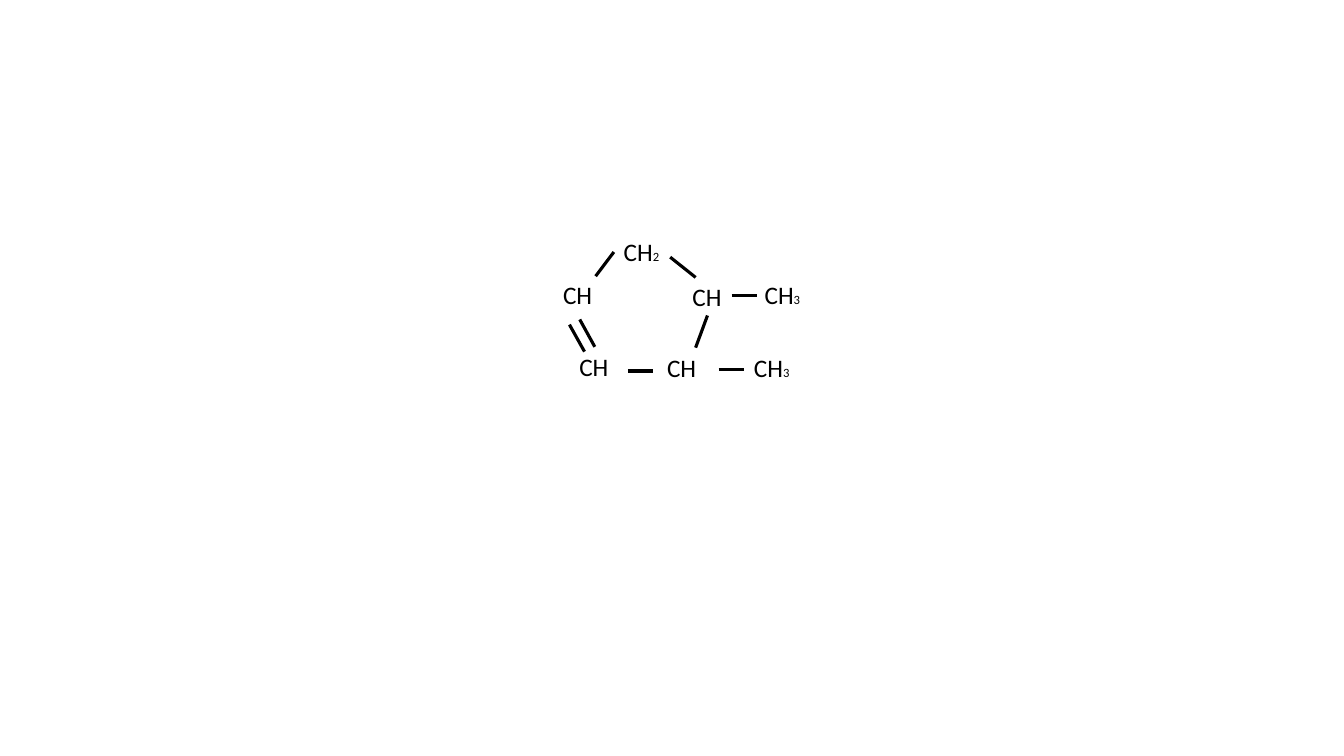
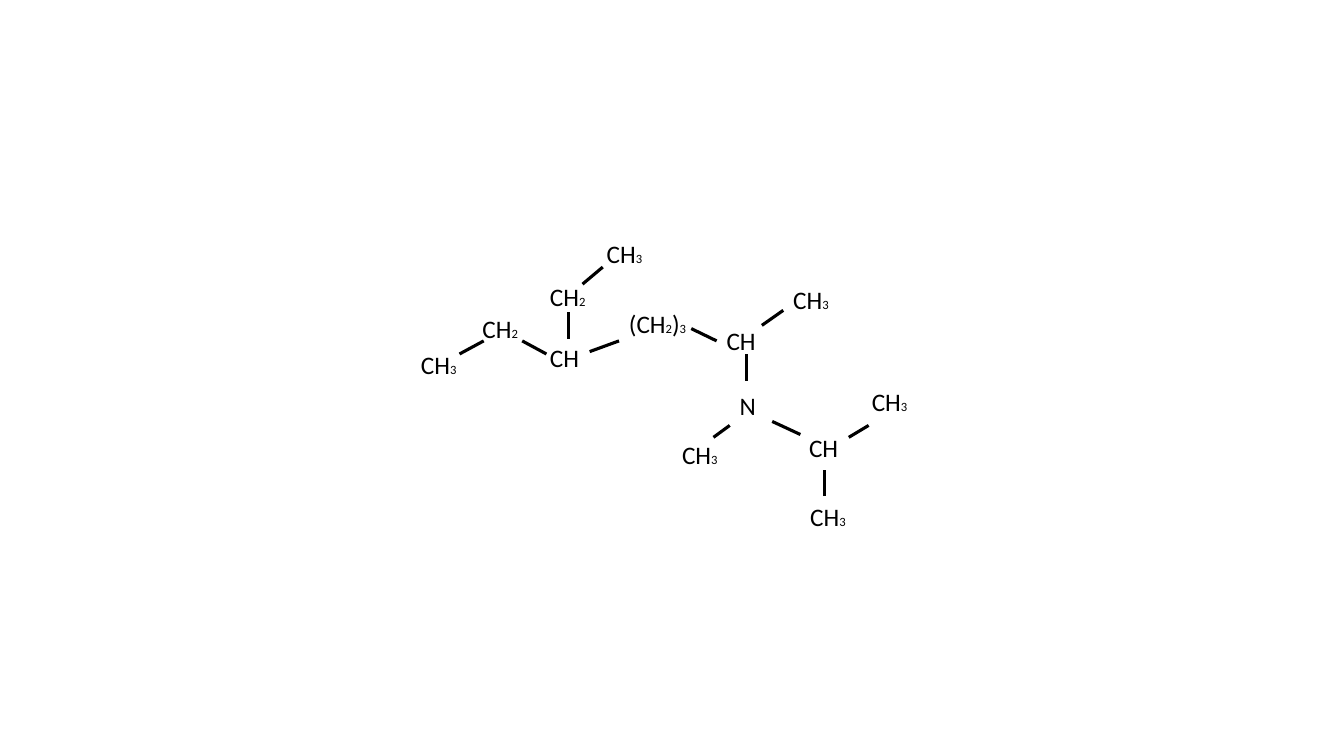
import itertools

import pptx
import pptx.dml.color
import pptx.enum.shapes
import pptx.enum.text
import pptx.oxml.ns
import pptx.util
from lxml import etree

Cm = pptx.util.Cm
Pt = pptx.util.Pt

INK = "000000"
FONT = "Calibri"
ATOM_SIZE, COUNT_SIZE = 18, 9
BOND_WIDTH = 2.25
LABEL_HEIGHT = 1.02
LABEL_WIDTHS = {"N": 0.91, "CH": 1.24, "CH2": 1.42, "CH3": 1.42, "(CH2)3": 1.98}


def rgb(value):
    return pptx.dml.color.RGBColor.from_string(value)


cyclopentene = {
    "groups": [
        ("CH2", 15.47, 5.84),
        ("CH", 17.2, 6.96),
        ("CH3", 19.02, 6.91),
        ("CH", 16.56, 8.76),
        ("CH3", 18.75, 8.76),
        ("CH", 14.35, 8.74),
        ("CH", 13.94, 6.91),
    ],
    "bonds": [
        (16.89, 6.48, 17.53, 6.99),
        (18.44, 7.44, 19.08, 7.44),
        (17.53, 8.76, 17.83, 7.95),
        (18.11, 9.32, 18.75, 9.32),
        (15.82, 9.35, 16.46, 9.35),
        (14.99, 8.74, 14.61, 8.05),
        (14.73, 8.86, 14.35, 8.18),
        (15.01, 6.96, 15.47, 6.35),
    ],
}

amine = {
    "groups": [
        ("CH3", 10.36, 8.69),
        ("CH2", 11.91, 7.77),
        ("CH", 13.61, 8.51),
        ("CH2", 13.61, 6.96),
        ("CH3", 15.04, 5.89),
        ("(CH2)3", 15.6, 7.65),
        ("CH", 18.06, 8.08),
        ("CH3", 19.74, 7.04),
        ("N", 18.39, 9.7),
        ("CH3", 16.94, 10.95),
        ("CH", 20.14, 10.77),
        ("CH3", 21.72, 9.6),
        ("CH3", 20.17, 12.5),
    ],
    "bonds": [
        (11.58, 8.92, 12.19, 8.59),
        (13.16, 8.59, 13.77, 8.92),
        (14.33, 8.53, 14.33, 7.87),
        (14.68, 7.16, 15.19, 6.73),
        (14.86, 8.86, 15.6, 8.59),
        (17.42, 8.28, 18.06, 8.59),
        (19.2, 8.2, 19.74, 7.82),
        (18.82, 9.6, 18.82, 8.92),
        (17.98, 11.02, 18.39, 10.72),
        (19.46, 10.62, 20.17, 10.95),
        (21.39, 11.02, 21.89, 10.72),
        (20.78, 12.5, 20.78, 11.84),
    ],
}

prs = pptx.Presentation()
prs.slide_width, prs.slide_height = Cm(33.87), Cm(19.05)

for molecule in (cyclopentene, amine):
    s = prs.slides.add_slide(prs.slide_layouts[6])

    for bond in molecule["bonds"]:
        sp = s.shapes.add_connector(
            pptx.enum.shapes.MSO_CONNECTOR.STRAIGHT, *map(Cm, bond)
        )
        sp.line.color.rgb = rgb(INK)
        sp.line.width = Pt(BOND_WIDTH)
        etree.SubElement(sp._element.spPr, pptx.oxml.ns.qn("a:effectLst"))

    for label, left, top in molecule["groups"]:
        sp = s.shapes.add_textbox(
            Cm(left), Cm(top), Cm(LABEL_WIDTHS[label]), Cm(LABEL_HEIGHT)
        )
        tf = sp.text_frame
        tf.word_wrap = False
        tf.auto_size = pptx.enum.text.MSO_AUTO_SIZE.SHAPE_TO_FIT_TEXT
        p = tf.paragraphs[0]
        for is_count, chars in itertools.groupby(label, str.isdigit):
            r = p.add_run()
            r.text = "".join(chars)
            r.font.name = FONT
            r.font.size = Pt(COUNT_SIZE if is_count else ATOM_SIZE)
            r.font.color.rgb = rgb(INK)

prs.save("out.pptx")
